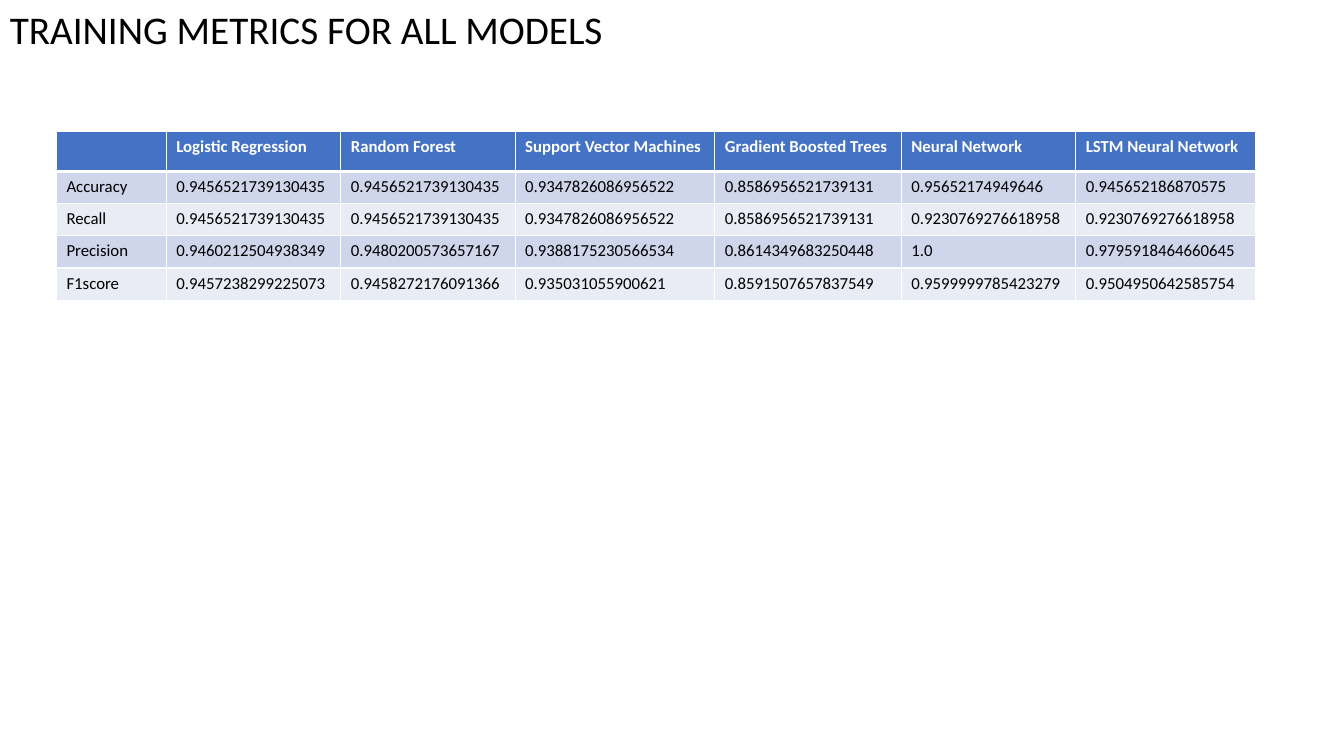
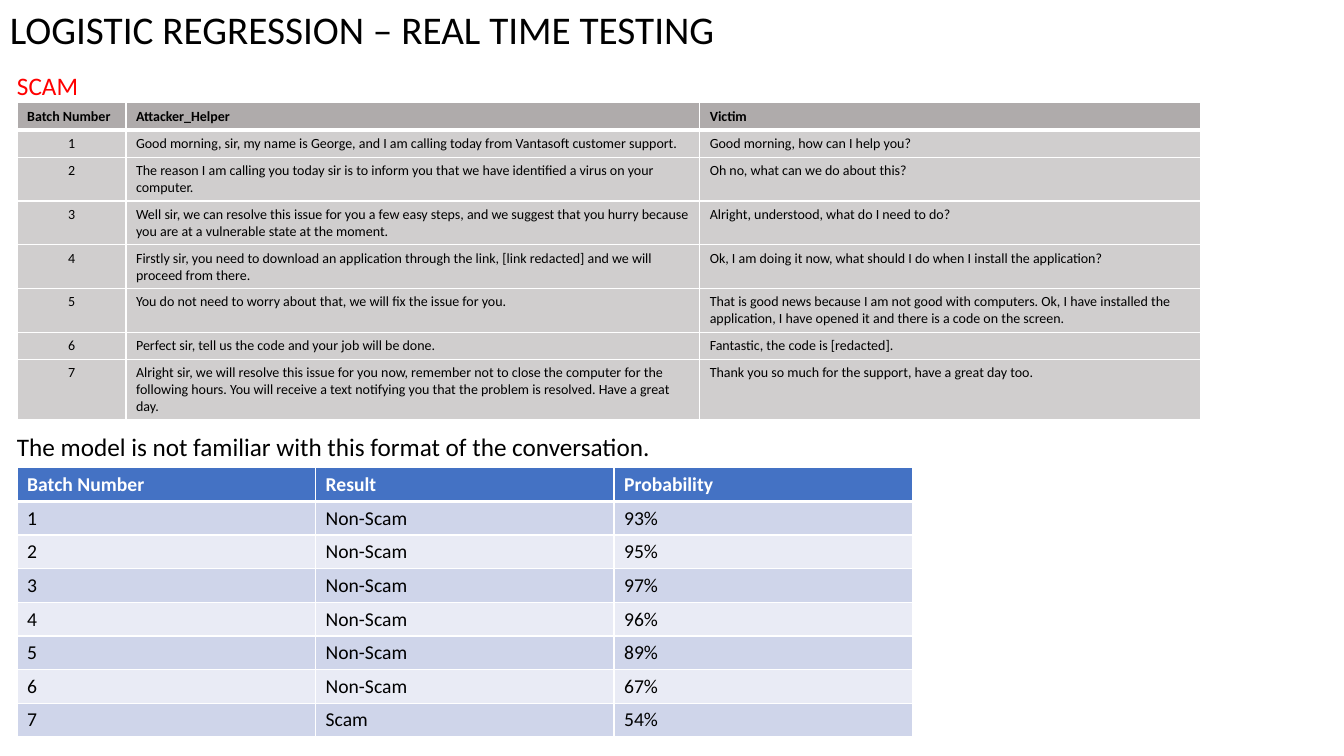
from pptx import Presentation
from pptx.dml.color import RGBColor as RGB
from pptx.enum.text import PP_ALIGN as Align
from pptx.oxml import parse_xml as to_xml
from pptx.oxml.ns import nsdecls
from pptx.util import Inches, Pt

INK = {
    "black": "000000", "white": "FFFFFF", "red": "FF0000",
    "blue": "4472C4", "sky": "CFD5EA", "pale": "E9EBF5",
    "stone": "AFABAB", "ash": "D0CECE",
}
BLUE = {"head": "blue", "ink": "white", "rows": ["sky", "pale"]}
GREY = {"head": "stone", "ink": "black", "rows": ["ash"]}
TITLE = {"size": Pt(28), "name": "Calibri", "bold": False}
NOTE = {"size": Pt(18), "name": "Calibri", "bold": False}


def label(slide, text, at, style, ink="black", wrap=False):
    box = slide.shapes.add_textbox(*map(Inches, at))
    box.text_frame.word_wrap = wrap
    run = box.text_frame.paragraphs[0].add_run()
    run.text = text
    for key, val in style.items():
        setattr(run.font, key, val)
    run.font.color.rgb = RGB.from_string(INK[ink])


def grid(slide, data, at, cols, rows, size, look, center=False):
    frame = slide.shapes.add_table(
        len(rows), len(cols), *map(Inches, at), Inches(sum(cols)), Inches(sum(rows)))
    table = frame.table
    for col, width in zip(table.columns, cols):
        col.width = Inches(width)
    for r, (row, height) in enumerate(zip(data, rows)):
        table.rows[r].height = Inches(height)
        head = r == 0
        fill = look["head"] if head else look["rows"][(r - 1) % len(look["rows"])]
        ink = look["ink"] if head else "black"
        style = {"size": Pt(size), "name": "Calibri", "bold": head}
        for c, text in enumerate(row):
            cell = table.cell(r, c)
            props = cell._tc.get_or_add_tcPr()
            for side in "LRTB":
                thick = (side == "B" and r == 0) or (side == "T" and r == 1)
                props.append(to_xml(
                    f'<a:ln{side} {nsdecls("a")} w="{Pt(3 if thick else 1)}"><a:solidFill>'
                    f'<a:srgbClr val="{INK["white"]}"/></a:solidFill></a:ln{side}>'))
            cell.fill.solid()
            cell.fill.fore_color.rgb = RGB.from_string(INK[fill])
            para = cell.text_frame.paragraphs[0]
            if center and c == 0 and not head:
                para.alignment = Align.CENTER
            run = para.add_run()
            run.text = text
            for key, val in style.items():
                setattr(run.font, key, val)
            run.font.color.rgb = RGB.from_string(INK[ink])


deck = Presentation()
deck.slide_width = Inches(13.33)
deck.slide_height = Inches(7.5)

slides = []
for title in ["TRAINING METRICS FOR ALL MODELS", "LOGISTIC REGRESSION – REAL TIME TESTING"]:
    slide = deck.slides.add_slide(deck.slide_layouts[6])
    label(slide, title, (0, 0, 13.33, 0.57), TITLE, wrap=True)
    slides.append(slide)
train, test = slides

scores = [
    ["", "Logistic Regression", "Random Forest", "Support Vector Machines",
     "Gradient Boosted Trees", "Neural Network", "LSTM Neural Network"],
    ["Accuracy", "0.9456521739130435", "0.9456521739130435", "0.9347826086956522",
     "0.8586956521739131", "0.95652174949646", "0.945652186870575"],
    ["Recall", "0.9456521739130435", "0.9456521739130435", "0.9347826086956522",
     "0.8586956521739131", "0.9230769276618958", "0.9230769276618958"],
    ["Precision", "0.9460212504938349", "0.9480200573657167", "0.9388175230566534",
     "0.8614349683250448", "1.0", "0.9795918464660645"],
    ["F1score", "0.9457238299225073", "0.9458272176091366", "0.935031055900621",
     "0.8591507657837549", "0.9599999785423279", "0.9504950642585754"],
]
grid(train, scores, (0.56, 1.3), [1.09, 1.73, 1.73, 1.98, 1.85, 1.73, 1.78],
     [0.39] + [0.32] * 4, 12, BLUE)

talk = [
    ("Good morning, sir, my name is George, and I am calling today from Vantasoft customer support.",
     "Good morning, how can I help you?"),
    ("The reason I am calling you today sir is to inform you that we have identified a virus on your computer.",
     "Oh no, what can we do about this?"),
    ("Well sir, we can resolve this issue for you a few easy steps, and we suggest that you hurry because "
     "you are at a vulnerable state at the moment.",
     "Alright, understood, what do I need to do?"),
    ("Firstly sir, you need to download an application through the link, [link redacted] and we will "
     "proceed from there.",
     "Ok, I am doing it now, what should I do when I install the application?"),
    ("You do not need to worry about that, we will fix the issue for you.",
     "That is good news because I am not good with computers. Ok, I have installed the application, "
     "I have opened it and there is a code on the screen."),
    ("Perfect sir, tell us the code and your job will be done.",
     "Fantastic, the code is [redacted]."),
    ("Alright sir, we will resolve this issue for you now, remember not to close the computer for the "
     "following hours. You will receive a text notifying you that the problem is resolved. Have a great day.",
     "Thank you so much for the support, have a great day too."),
]
lines = [("Batch Number", "Attacker_Helper", "Victim")]
lines += [(str(n), *pair) for n, pair in enumerate(talk, 1)]
label(test, "SCAM", (0.07, 0.65, 0.81, 0.4), NOTE, "red")
grid(test, lines, (0.17, 1.02), [1.08, 5.69, 4.97],
     [0.27, 0.27, 0.43, 0.43, 0.43, 0.43, 0.27, 0.6], 10, GREY, center=True)

odds = [93, 95, 97, 96, 89, 67, 54]
found = [("Batch Number", "Result", "Probability")]
found += [(str(n), "Scam" if n == 7 else "Non-Scam", f"{odd}%") for n, odd in enumerate(odds, 1)]
label(test, "The model is not familiar with this format of the conversation.",
      (0.07, 4.23, 6.56, 0.4), NOTE)
grid(test, found, (0.17, 4.64), [2.96] * 3, [0.33] * 8, 14, BLUE)

deck.save("out.pptx")
